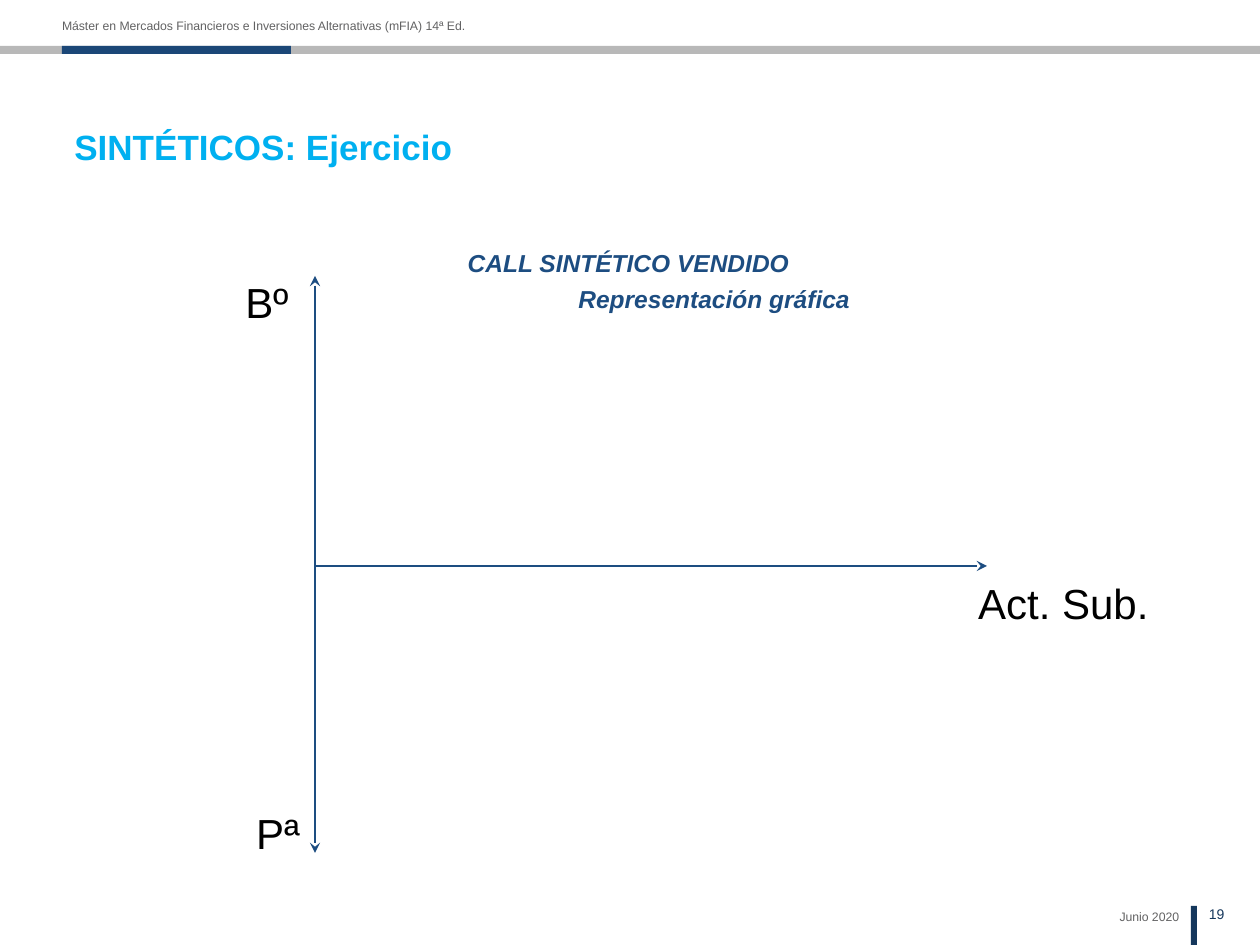
import pptx
import pptx.dml.color
import pptx.enum.shapes
import pptx.enum.text
import pptx.oxml.ns
import pptx.util
from dataclasses import dataclass
from lxml import etree

EMU_PER_PX = 914400 / 126
ALIGN = pptx.enum.text.PP_ALIGN
ANCHOR = pptx.enum.text.MSO_ANCHOR


@dataclass(frozen=True)
class Theme:
    font: str = "Arial"
    band: str = "B8B8B8"
    band_accent: str = "1B4777"
    footer_accent: str = "15375C"
    muted: str = "626263"
    title: str = "00B0F0"
    graph: str = "1D4D81"
    label: str = "000000"
    small_size: int = 7
    page_size: int = 8
    title_size: int = 20
    heading_size: int = 14
    label_size: int = 24


THEME = Theme()


def px(length):
    return pptx.util.Emu(round(length * EMU_PER_PX))


def rgb(color):
    return pptx.dml.color.RGBColor.from_string(color)


def add_bar(slide, box, color):
    bar = slide.shapes.add_shape(
        pptx.enum.shapes.MSO_SHAPE.RECTANGLE, *map(px, box))
    bar.shadow.inherit = False
    bar.fill.solid()
    bar.fill.fore_color.rgb = rgb(color)
    bar.line.fill.background()


def add_text_frame(slide, box, inset=True, anchor=ANCHOR.TOP):
    frame = slide.shapes.add_textbox(*map(px, box)).text_frame
    frame.word_wrap = True
    frame.vertical_anchor = anchor
    frame.margin_left = frame.margin_right = pptx.util.Inches(0.1 if inset else 0)
    frame.margin_top = frame.margin_bottom = pptx.util.Inches(0.05 if inset else 0)
    return frame


def write(paragraph, words, size, color, align=ALIGN.LEFT, bold=False, italic=False):
    paragraph.alignment = align
    run = paragraph.add_run()
    run.text = words
    run.font.name = THEME.font
    run.font.size = pptx.util.Pt(size)
    run.font.color.rgb = rgb(color)
    run.font.bold = bold
    run.font.italic = italic


def add_axis(slide, start, end, arrowheads):
    axis = slide.shapes.add_connector(
        pptx.enum.shapes.MSO_CONNECTOR.STRAIGHT, *map(px, start + end))
    axis.line.color.rgb = rgb(THEME.graph)
    axis.line.width = pptx.util.Pt(1)
    line = axis.line._get_or_add_ln()
    for arrowhead in arrowheads:
        etree.SubElement(line, pptx.oxml.ns.qn(f"a:{arrowhead}"), type="stealth")
    etree.SubElement(axis._element.spPr, pptx.oxml.ns.qn("a:effectLst"))


def add_header(slide, left, top, width, height):
    margin, band_height = 62, 8
    band_top = top + height - band_height
    add_bar(slide, (left, band_top, width, band_height), THEME.band)
    add_bar(slide, (left + margin, band_top, 229, band_height), THEME.band_accent)
    course = add_text_frame(slide, (left + margin, top + 18, 509, 15), inset=False)
    write(course.paragraphs[0],
          "Máster en Mercados Financieros e Inversiones Alternativas (mFIA) 14ª Ed.",
          THEME.small_size, THEME.muted)


def add_title(slide, left, top, width, height):
    title = add_text_frame(slide, (left, top, width, height), anchor=ANCHOR.MIDDLE)
    write(title.paragraphs[0], "SINTÉTICOS: Ejercicio",
          THEME.title_size, THEME.title, bold=True)


def add_headings(slide, left, top, width, height):
    frame = add_text_frame(slide, (left, top, width, height))
    strategy, subtitle = frame.paragraphs[0], frame.add_paragraph()
    style = dict(size=THEME.heading_size, color=THEME.graph, bold=True, italic=True)
    write(strategy, "CALL SINTÉTICO VENDIDO", align=ALIGN.CENTER, **style)
    write(subtitle, "Representación gráfica", **style)
    subtitle.space_before = pptx.util.Pt(3.5)
    subtitle._p.get_or_add_pPr().set("marL", str(px(504)))


def add_payoff_axes(slide, left, top, width, height):
    """Profit and loss axis on the left edge, underlying axis from its middle."""
    middle = top + height // 2 + 2
    add_axis(slide, (left, top), (left, top + height), ("headEnd", "tailEnd"))
    add_axis(slide, (left, middle), (left + width, middle), ("tailEnd",))
    labels = [
        ("Bº", left - 98, top - 6, 84),
        ("Pª", left - 108, top + height - 52, 105),
        ("Act. Sub.", left + 535, middle + 5, 311),
    ]
    for words, label_left, label_top, label_width in labels:
        label = add_text_frame(slide, (label_left, label_top, label_width, 63))
        write(label.paragraphs[0], words, THEME.label_size, THEME.label, ALIGN.RIGHT)


def add_footer(slide, left, top, width, height):
    date = add_text_frame(slide, (left, top + 3, 142, 15), inset=False)
    write(date.paragraphs[0], "Junio 2020", THEME.small_size, THEME.muted, ALIGN.RIGHT)
    add_bar(slide, (left + 154, top, 6, height), THEME.footer_accent)
    page = add_text_frame(slide, (left + 172, top, width - 172, 16), inset=False)
    write(page.paragraphs[0], "19", THEME.page_size, THEME.footer_accent)


def main():
    presentation = pptx.Presentation()
    presentation.slide_width, presentation.slide_height = px(1260), px(945)
    slide = presentation.slides.add_slide(presentation.slide_layouts[6])
    add_header(slide, 0, 0, 1260, 54)
    add_title(slide, 62, 67, 1133, 158)
    add_headings(slide, 62, 242, 1133, 612)
    add_payoff_axes(slide, 315, 276, 672, 577)
    add_footer(slide, 1037, 906, 223, 39)
    presentation.save("out.pptx")


if __name__ == "__main__":
    main()
